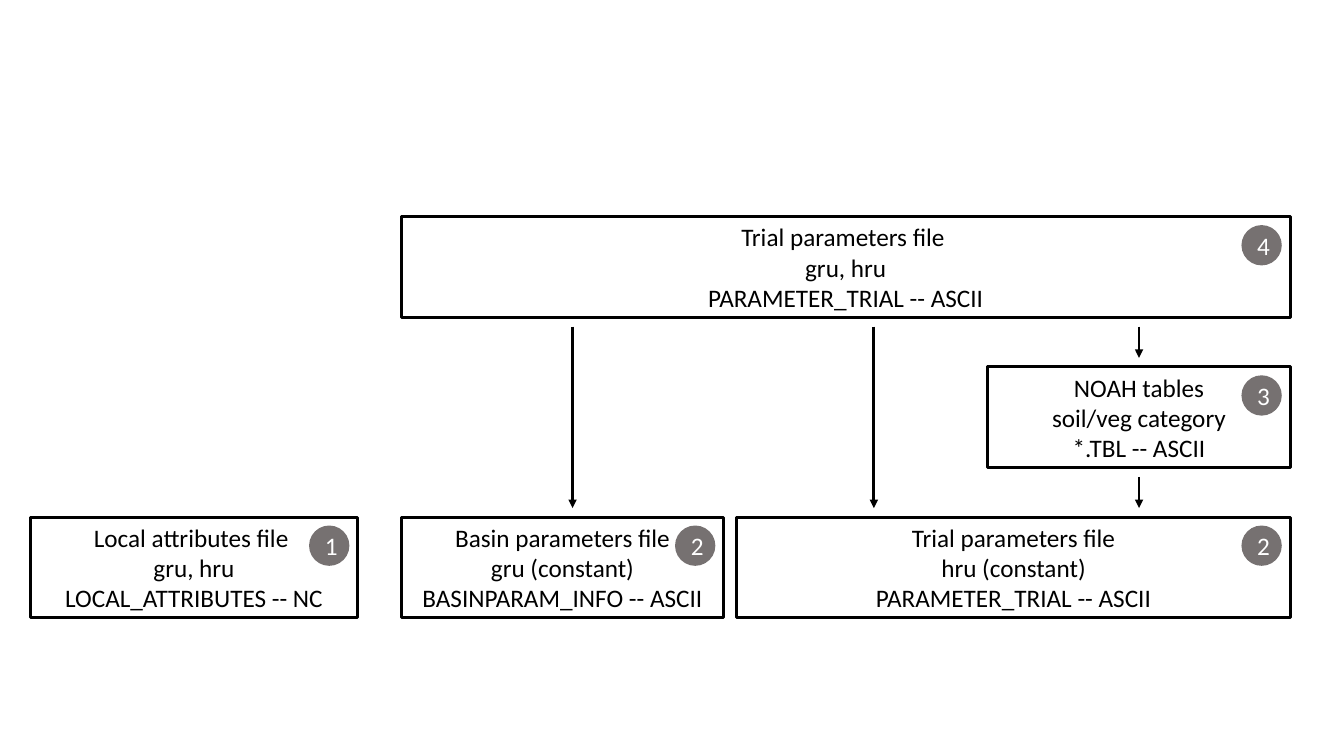
from dataclasses import dataclass

from lxml import etree
from pptx import Presentation
from pptx.dml.color import RGBColor
from pptx.enum.shapes import MSO_CONNECTOR, MSO_SHAPE
from pptx.enum.text import MSO_ANCHOR, PP_ALIGN
from pptx.oxml.ns import qn
from pptx.util import Pt

RECTANGLE, OVAL = MSO_SHAPE.RECTANGLE, MSO_SHAPE.OVAL
STRAIGHT = MSO_CONNECTOR.STRAIGHT
MIDDLE, CENTER = MSO_ANCHOR.MIDDLE, PP_ALIGN.CENTER
BLANK_LAYOUT = 6


@dataclass(frozen=True)
class Theme:
    """Colours, font and sizes of the slide."""
    ink: RGBColor = RGBColor(0, 0, 0)
    paper: RGBColor = RGBColor(255, 255, 255)
    badge: RGBColor = RGBColor(0x76, 0x71, 0x71)
    font: str = "Calibri"
    text_size: float = 18
    line_width: float = 2


THEME = Theme()

# Files: row, left, right, badge number, lines of text
FILES = [
    (2, 526.3, 921.6, "2",
     ["Trial parameters file", "hru (constant)", "PARAMETER_TRIAL -- ASCII"]),
    (2, 286.6, 517, "2",
     ["Basin parameters file", "gru (constant)", "BASINPARAM_INFO -- ASCII"]),
    (2, 21.6, 255.6, "1",
     ["Local attributes file ", "gru, hru", "LOCAL_ATTRIBUTES -- NC"]),
    (1, 705.6, 921.6, "3",
     ["NOAH tables", "soil/veg category", "*.TBL -- ASCII"]),
    (0, 286.6, 921.6, "4",
     ["Trial parameters file ", "gru, hru", "PARAMETER_TRIAL -- ASCII"]),
]
# Overrides: x, row above, row below
ARROWS = [(409, 0, 2), (624.2, 0, 2), (813.6, 0, 1), (813.6, 1, 2)]

FIRST_TOP, ROW_STEP, BOX_HEIGHT = 154.8, 107.3, 72
BADGE_SIZE, BADGE_INSET = 28.8, 6
ARROW_GAP = 6.5


def row_top(row):
    """Return the top of a row of boxes."""
    return FIRST_TOP + row * ROW_STEP


def set_values(target, values):
    """Set each named attribute of the target."""
    for name, value in values.items():
        setattr(target, name, value)


def add_panel(page, kind, place, lines, fill, text_color, outline=None):
    """Add a filled shape with centred lines of text."""
    panel = page.shapes.add_shape(kind, *map(Pt, place))
    panel.shadow.inherit = False
    panel.fill.solid()
    panel.fill.fore_color.rgb = fill
    if outline is None:
        panel.line.fill.background()
    else:
        panel.line.color.rgb = outline
        panel.line.width = Pt(THEME.line_width)
    frame = panel.text_frame
    frame.vertical_anchor = MIDDLE
    for index, line in enumerate(lines):
        para = frame.add_paragraph() if index else frame.paragraphs[0]
        para.alignment = CENTER
        span = para.add_run()
        span.text = line
        set_values(span.font, {"name": THEME.font, "size": Pt(THEME.text_size)})
        span.font.color.rgb = text_color


def add_file(page, row, left, right, lines):
    """Add the box that describes one file."""
    place = (left, row_top(row), right - left, BOX_HEIGHT)
    add_panel(page, RECTANGLE, place, lines, THEME.paper, THEME.ink, THEME.ink)


def add_badge(page, row, right, number):
    """Add the numbered disc in the top right corner of a box."""
    place = (right - BADGE_INSET - BADGE_SIZE, row_top(row) + BADGE_INSET,
             BADGE_SIZE, BADGE_SIZE)
    add_panel(page, OVAL, place, [number], THEME.badge, THEME.paper)


def add_arrow(page, x, above, below):
    """Add a downward arrow between two rows."""
    start = row_top(above) + BOX_HEIGHT + ARROW_GAP
    end = row_top(below) - ARROW_GAP
    arrow = page.shapes.add_connector(STRAIGHT, Pt(x), Pt(start), Pt(x), Pt(end))
    arrow.line.color.rgb = THEME.ink
    arrow.line.width = Pt(THEME.line_width)
    etree.SubElement(arrow.line._get_or_add_ln(), qn("a:tailEnd"), type="triangle")
    etree.SubElement(arrow._element.spPr, qn("a:effectLst"))


deck = Presentation()
set_values(deck, {"slide_width": Pt(960), "slide_height": Pt(540)})
page = deck.slides.add_slide(deck.slide_layouts[BLANK_LAYOUT])
for row, left, right, number, lines in FILES:
    add_file(page, row, left, right, lines)
    add_badge(page, row, right, number)
for arrow_place in ARROWS:
    add_arrow(page, *arrow_place)
deck.save("out.pptx")
